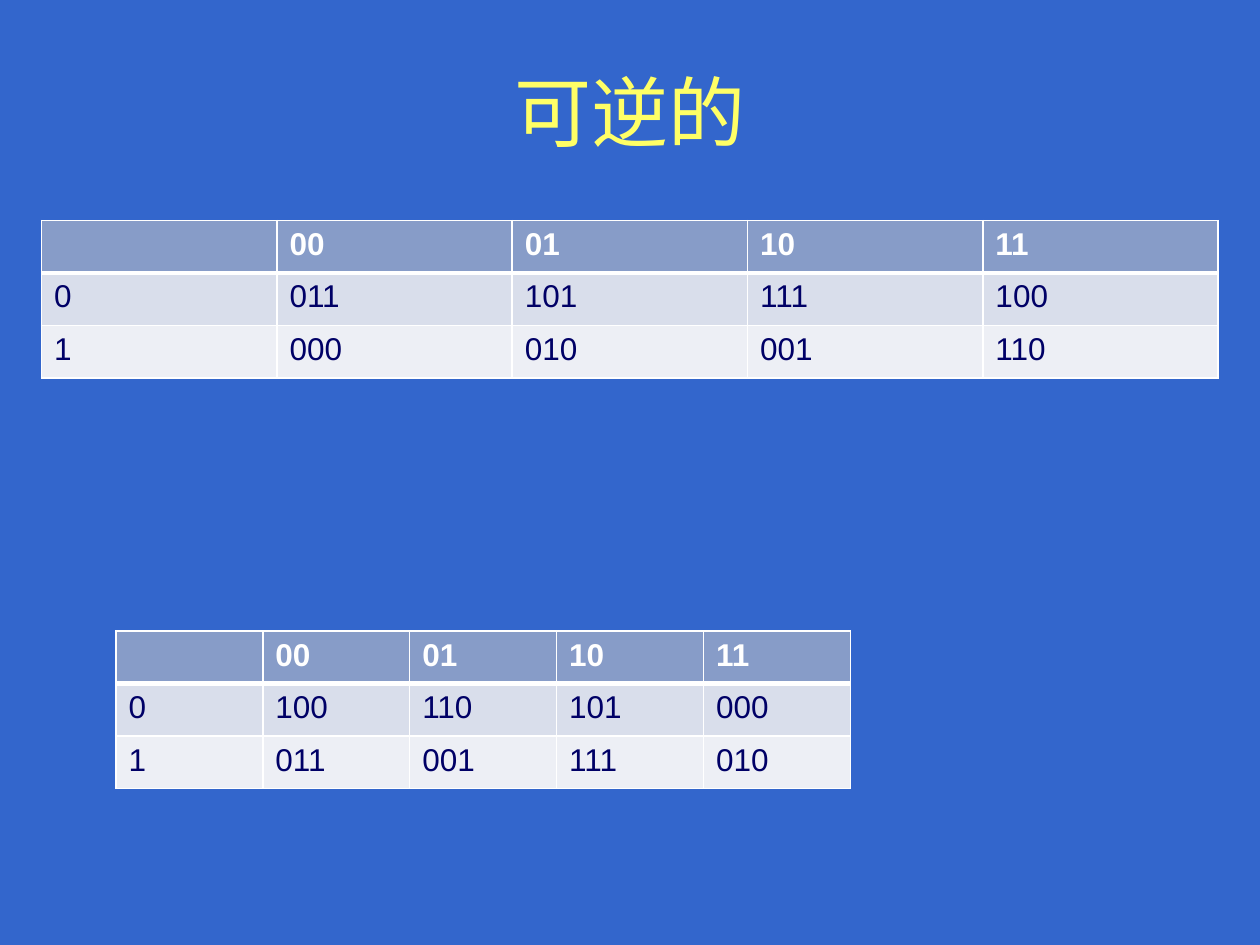
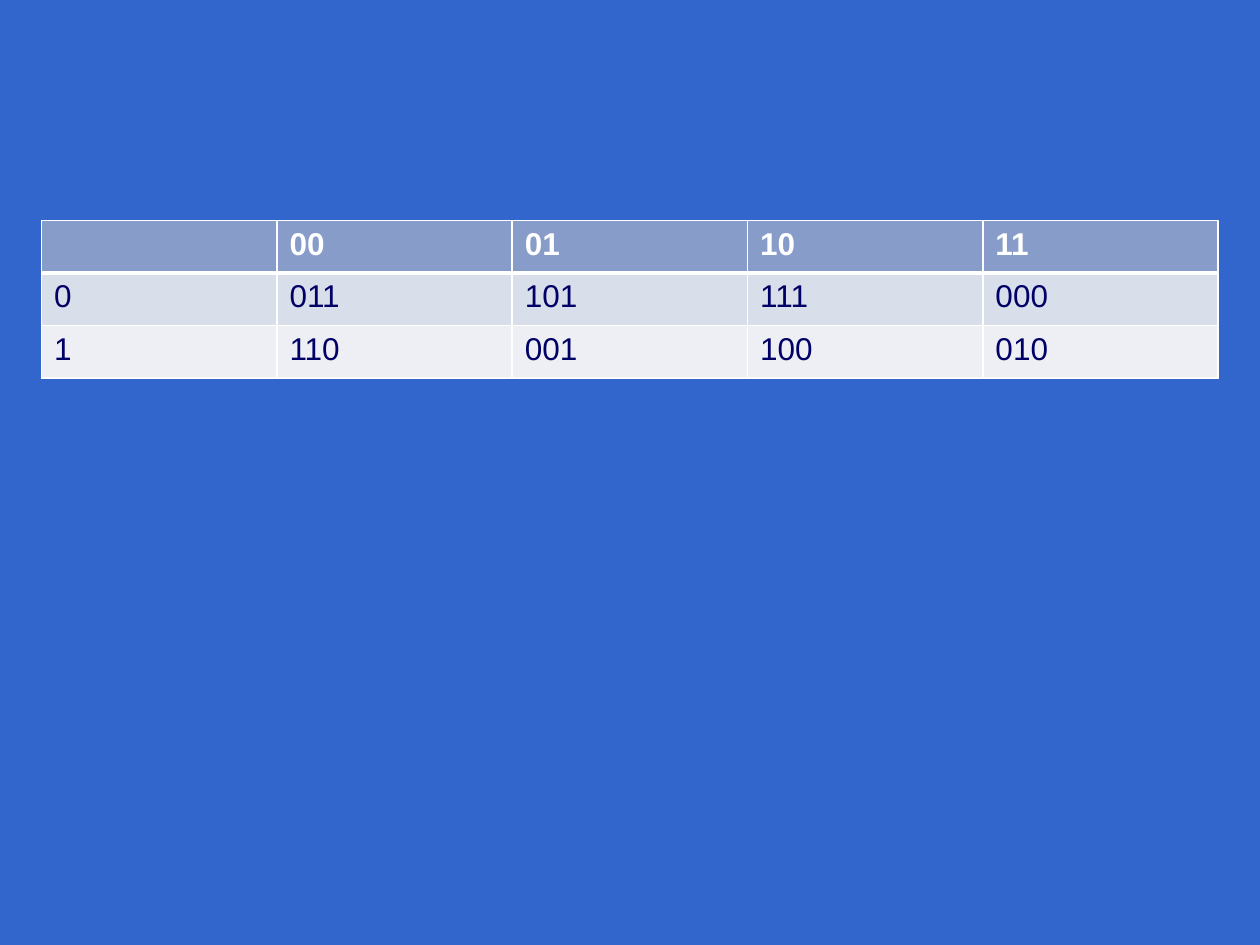
"""Build two slides of reversible three-bit substitution tables."""
from dataclasses import dataclass

from lxml.etree import SubElement
from pptx import Presentation
from pptx.dml.color import RGBColor as RGB
from pptx.enum.text import MSO_ANCHOR as Anchor, PP_ALIGN as Align
from pptx.oxml.ns import qn
from pptx.util import Inches, Pt

COLUMN_BITS = ["", "00", "01", "10", "11"]
WIDE = (0.33, 1.75, 9.34)
NARROW = (0.92, 5.01, 5.83)
SLIDES = [
    {
        "title": "可逆的",
        "mappings": [
            (NARROW, [["0", "100", "110", "101", "000"],
                      ["1", "011", "001", "111", "010"]]),
            (WIDE, [["0", "011", "101", "111", "100"],
                    ["1", "000", "010", "001", "110"]]),
        ],
    },
    {
        "title": None,
        "mappings": [
            (WIDE, [["0", "011", "101", "111", "000"],
                    ["1", "110", "001", "100", "010"]]),
        ],
    },
]
TITLE_PLACE = {"left": 0.33, "top": 0.25, "width": 9.34, "height": 1.25}
TABLE_HEIGHT = 1.25
TITLE_ONLY, BLANK = 5, 6


@dataclass(frozen=True)
class Theme:
    background: str = "3366CC"
    title: str = "FFFF66"
    header_text: str = "FFFFFF"
    body_text: str = "000066"
    border: str = "FFFFFF"
    row_fills: tuple = ("879CC8", "D9DEEB", "EDEFF5")
    title_font: str = "Noto Sans CJK SC"
    table_font: str = "Arial"
    title_size: int = 44
    table_size: int = 18
    thin: int = 1
    thick: int = 3


THEME = Theme()


def paint(fill, colour):
    fill.solid()
    fill.fore_color.rgb = RGB.from_string(colour)


def style_font(font, colour, **formats):
    font.color.rgb = RGB.from_string(colour)
    for attribute, value in formats.items():
        setattr(font, attribute, value)


def draw_borders(cell, row):
    props = cell._tc.get_or_add_tcPr()
    widths = {
        "a:lnL": THEME.thin,
        "a:lnR": THEME.thin,
        "a:lnT": THEME.thick if row == 1 else THEME.thin,
        "a:lnB": THEME.thick if row == 0 else THEME.thin,
    }
    for side, width in widths.items():
        line = SubElement(props, qn(side), w=str(Pt(width)))
        fill = SubElement(line, qn("a:solidFill"))
        SubElement(fill, qn("a:srgbClr"), val=THEME.border)


def add_title(slide, text):
    title = slide.shapes.title
    for attribute, value in TITLE_PLACE.items():
        setattr(title, attribute, Inches(value))
    frame = title.text_frame
    frame.text = text
    frame.vertical_anchor = Anchor.MIDDLE
    frame.paragraphs[0].alignment = Align.CENTER
    run = frame.paragraphs[0].runs[0]
    style_font(run.font, THEME.title, name=THEME.title_font, size=Pt(THEME.title_size))
    SubElement(run._r.get_or_add_rPr(), qn("a:ea"), typeface=THEME.title_font)


def add_mapping(slide, place, body):
    rows = [COLUMN_BITS, *body]
    left, top, width = map(Inches, place)
    table = slide.shapes.add_table(
        len(rows), len(COLUMN_BITS), left, top, width, Inches(TABLE_HEIGHT)).table
    for row, bits in enumerate(rows):
        colour = THEME.body_text if row else THEME.header_text
        for column, text in enumerate(bits):
            cell = table.cell(row, column)
            draw_borders(cell, row)
            paint(cell.fill, THEME.row_fills[row])
            cell.text = text
            style_font(cell.text_frame.paragraphs[0].font, colour,
                       name=THEME.table_font, size=Pt(THEME.table_size), bold=row == 0)


def main():
    deck = Presentation()
    deck.slide_width, deck.slide_height = Inches(10), Inches(7.5)
    paint(deck.slide_master.background.fill, THEME.background)
    for content in SLIDES:
        layout = TITLE_ONLY if content["title"] else BLANK
        slide = deck.slides.add_slide(deck.slide_layouts[layout])
        if content["title"]:
            add_title(slide, content["title"])
        for place, body in content["mappings"]:
            add_mapping(slide, place, body)
    deck.save("out.pptx")


if __name__ == "__main__":
    main()
